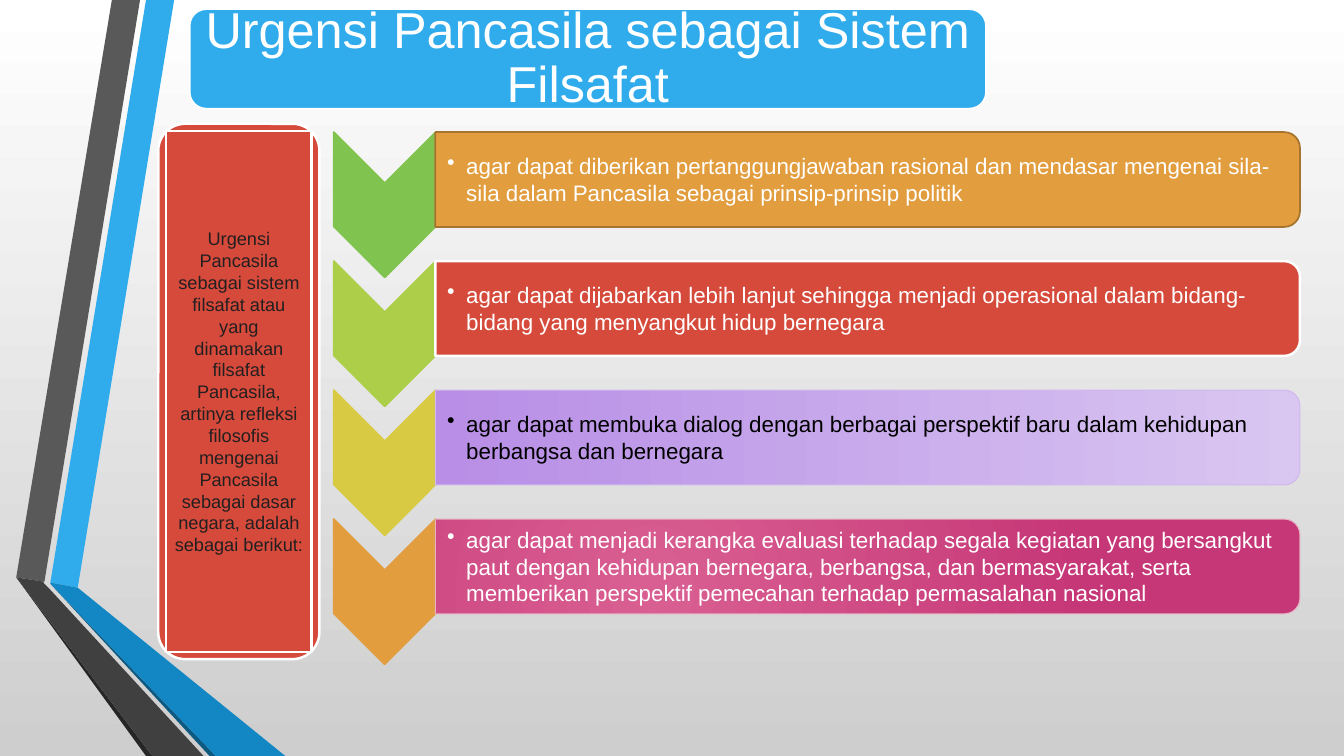
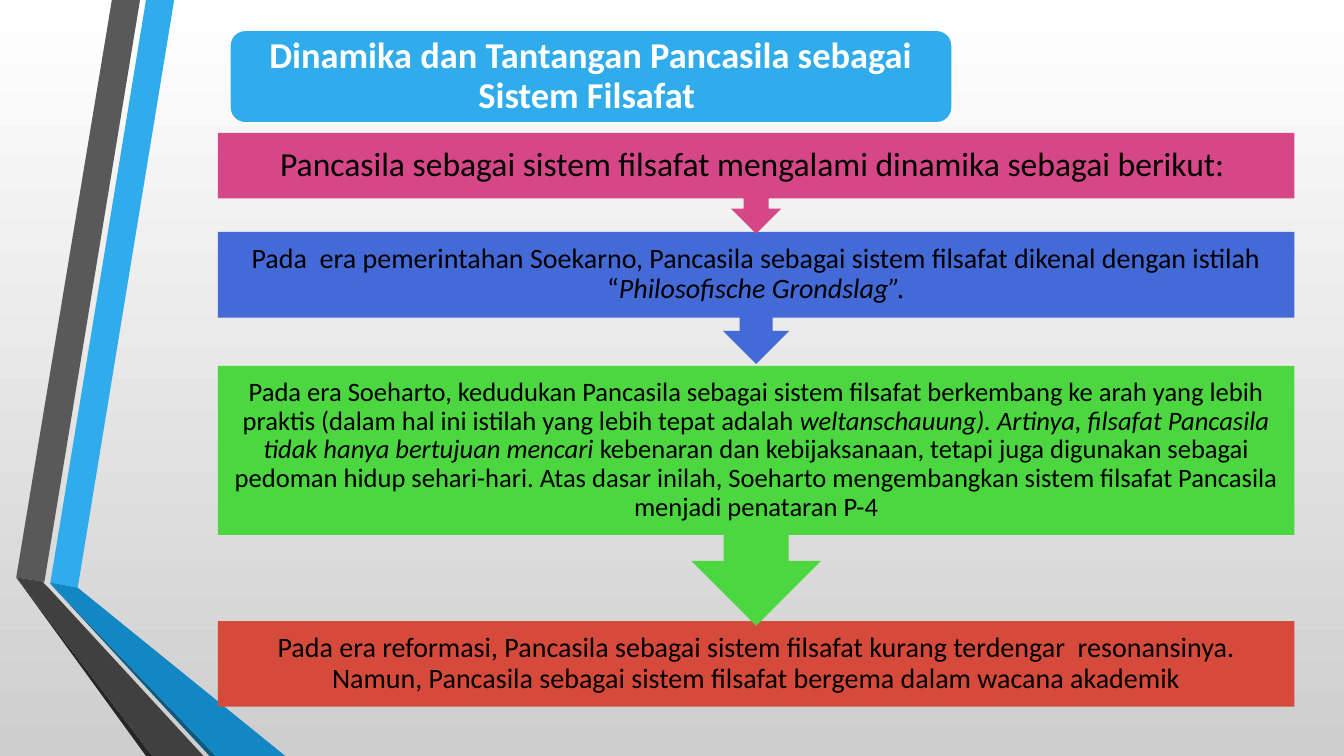
"""Build two slides on Pancasila as a system of philosophy."""
import dataclasses
import typing

import lxml.etree
import pptx
import pptx.dml.color
import pptx.dml.fill
import pptx.enum.dml
import pptx.enum.shapes
import pptx.enum.text
import pptx.oxml.ns
import pptx.shapes.base
import pptx.slide
import pptx.util

Cm = pptx.util.Cm
Pt = pptx.util.Pt
Shapes = pptx.enum.shapes.MSO_SHAPE

WHITE, BLACK, INK = "FFFFFF", "000000", "231F20"
BLUE, RED, ORANGE = "30ACEC", "D64A3B", "E29D3E"
SLIDE_WIDTH, SLIDE_HEIGHT = 33.87, 19.05
CALLOUT_BODY = 0.65


@dataclasses.dataclass(frozen=True)
class Box:
    """Position and size in centimetres."""
    left: float
    top: float
    width: float
    height: float

    def lengths(self) -> tuple:
        """Return the four lengths for a shape call."""
        return Cm(self.left), Cm(self.top), Cm(self.width), Cm(self.height)

    def turned(self) -> "Box":
        """Return the frame that covers this box after a quarter turn."""
        shift = (self.width - self.height) / 2
        return Box(self.left + shift, self.top - shift, self.height, self.width)


@dataclasses.dataclass(frozen=True)
class Gradient:
    """Two-colour gradient, straight down or circular."""
    start: str
    end: str
    circular: bool = False


Fill = typing.Union[str, Gradient]


@dataclasses.dataclass(frozen=True)
class Line:
    """Outline colour and width in points."""
    color: str
    width: float


@dataclasses.dataclass(frozen=True)
class TextStyle:
    """Look of the text in one box."""
    font: str
    size: float
    color: str
    inset: float
    bold: bool = False
    spacing: float = 1.0
    bullet: bool = False


@dataclasses.dataclass(frozen=True)
class Ribbon:
    """Filled polygon of the side decoration, in centimetres."""
    color: str
    points: tuple


@dataclasses.dataclass(frozen=True)
class Reason:
    """One chevron with its bar of text."""
    chevron: str
    fill: Fill
    line: Line
    text: str
    color: str = WHITE


@dataclasses.dataclass(frozen=True)
class Era:
    """One step of the flow; texts alternate between upright and italic."""
    top: float
    height: float
    color: str
    size: float
    inset: float
    texts: tuple
    arrow: bool = True


RIBBONS = (
    Ribbon(BLUE, ((1.27, 14.68), (1.96, 14.81), (4.39, 0), (3.68, 0))),
    Ribbon("595959", ((3.53, 0), (2.82, 0), (0.41, 14.55), (1.12, 14.66))),
    Ribbon("262626", ((0.41, 14.55), (3.68, 19.05), (3.84, 19.05))),
    Ribbon("0C5A82", ((1.27, 14.71), (5.28, 19.05), (5.44, 19.05))),
    Ribbon("1287C3", ((1.27, 14.71), (5.44, 19.05), (7.19, 19.05), (1.96, 14.81), (1.27, 14.68))),
    Ribbon("404040", ((5.13, 19.05), (1.22, 14.81), (1.09, 14.68), (1.12, 14.66),
                      (0.41, 14.55), (3.84, 19.05))),
)

REASONS = (
    Reason("80C34F", ORANGE, Line("A7742E", 1.25),
           "agar dapat diberikan pertanggungjawaban rasional dan mendasar mengenai sila-sila "
           "dalam Pancasila sebagai prinsip-prinsip politik"),
    Reason("ADCE49", RED, Line(WHITE, 1.75),
           "agar dapat dijabarkan lebih lanjut sehingga menjadi operasional dalam "
           "bidang-bidang yang menyangkut hidup bernegara"),
    Reason("D8CB43", Gradient("D9C6F1", "B88EE6"), Line("D0B8EE", 0.75),
           "agar dapat membuka dialog dengan berbagai perspektif baru dalam kehidupan "
           "berbangsa dan bernegara", BLACK),
    Reason(ORANGE, Gradient("D95F92", "C63777", True), Line("E8B1C3", 0.75),
           "agar dapat menjadi kerangka evaluasi terhadap segala kegiatan yang bersangkut "
           "paut dengan kehidupan bernegara, berbangsa, dan bermasyarakat, serta memberikan "
           "perspektif pemecahan terhadap permasalahan nasional"),
)

PANEL_TEXT = ("Urgensi Pancasila sebagai sistem filsafat atau yang dinamakan filsafat Pancasila, "
              "artinya refleksi filosofis mengenai Pancasila sebagai dasar negara, adalah "
              "sebagai berikut:")

ERAS = (
    Era(3.35, 2.54, "D64787", 24, 0.48,
        ("Pancasila sebagai sistem filsafat mengalami dinamika sebagai berikut: ",)),
    Era(5.84, 3.33, "436AD6", 20, 0.41,
        ("Pada  era pemerintahan Soekarno, Pancasila sebagai sistem filsafat dikenal dengan "
         "istilah “", "Philosofische Grondslag”.")),
    Era(9.22, 6.55, "4CD63F", 19, 0.38,
        ("Pada era Soeharto, kedudukan Pancasila sebagai sistem filsafat berkembang ke arah "
         "yang lebih praktis (dalam hal ini istilah yang lebih tepat adalah ",
         "weltanschauung). Artinya, filsafat Pancasila tidak hanya bertujuan mencari ",
         "kebenaran dan kebijaksanaan, tetapi juga digunakan sebagai pedoman hidup sehari-hari. "
         "Atas dasar inilah, Soeharto mengembangkan sistem filsafat Pancasila menjadi "
         "penataran P-4")),
    Era(15.65, 2.16, RED, 20, 0.41,
        ("Pada era reformasi, Pancasila sebagai sistem filsafat kurang terdengar  resonansinya. "
         "Namun, Pancasila sebagai sistem filsafat bergema dalam wacana akademik",), False),
)


def rgb(value: str) -> pptx.dml.color.RGBColor:
    """Turn a hex string into a colour."""
    return pptx.dml.color.RGBColor.from_string(value)


def set_format(target: typing.Any, values: dict) -> None:
    """Set each named attribute on the target."""
    for name, value in values.items():
        setattr(target, name, value)


def paint(fill: pptx.dml.fill.FillFormat, look: Fill) -> None:
    """Apply a plain colour or a gradient."""
    if isinstance(look, str):
        fill.solid()
        fill.fore_color.rgb = rgb(look)
        return
    fill.gradient()
    fill.gradient_angle = 270
    for stop, color in zip(fill.gradient_stops, (look.start, look.end)):
        stop.color.rgb = rgb(color)


def make_circular(shape: pptx.shapes.base.BaseShape) -> None:
    """Swap the straight gradient of a shape for a circular one."""
    qn = pptx.oxml.ns.qn
    straight = next(shape.element.iter(qn("a:lin")))
    circle = lxml.etree.Element(qn("a:path"), {"path": "circle"})
    edges = {"l": "50000", "t": "100000", "r": "100000", "b": "50000"}
    lxml.etree.SubElement(circle, qn("a:fillToRect"), edges)
    straight.getparent().replace(straight, circle)


def dress(shape: pptx.shapes.base.BaseShape, look: Fill,
          line: typing.Optional[Line] = None) -> None:
    """Give a shape its fill and outline, without shadow."""
    shape.shadow.inherit = False
    paint(shape.fill, look)
    if isinstance(look, Gradient) and look.circular:
        make_circular(shape)
    if line:
        shape.line.color.rgb = rgb(line.color)
        shape.line.width = Pt(line.width)
    else:
        shape.line.fill.background()


def add_block(slide: pptx.slide.Slide, preset: Shapes, box: Box, look: Fill,
              line: typing.Optional[Line] = None,
              rotation: int = 0) -> pptx.shapes.base.BaseShape:
    """Add a preset shape that covers the box once rotated."""
    frame = box.turned() if rotation == 90 else box
    shape = slide.shapes.add_shape(preset, *frame.lengths())
    shape.rotation = rotation
    dress(shape, look, line)
    return shape


def write(shape: pptx.shapes.base.BaseShape, texts: tuple, style: TextStyle) -> None:
    """Write one paragraph, every second run in italics."""
    frame = shape.text_frame
    inset = Cm(style.inset)
    narrow = Cm(0.03) if style.bullet else inset
    set_format(frame, {
        "word_wrap": True,
        "auto_size": pptx.enum.text.MSO_AUTO_SIZE.NONE,
        "vertical_anchor": pptx.enum.text.MSO_ANCHOR.MIDDLE,
        "margin_left": inset, "margin_right": narrow,
        "margin_top": narrow, "margin_bottom": narrow,
    })
    paragraph = frame.paragraphs[0]
    alignment = pptx.enum.text.PP_ALIGN
    if style.bullet:
        properties = paragraph._p.get_or_add_pPr()
        properties.set("marL", str(Cm(0.48)))
        properties.set("indent", str(-Cm(0.48)))
        lxml.etree.SubElement(properties, pptx.oxml.ns.qn("a:buChar"), {"char": "•"})
    set_format(paragraph, {
        "alignment": alignment.LEFT if style.bullet else alignment.CENTER,
        "line_spacing": style.spacing,
    })
    for index, text in enumerate(texts):
        run = paragraph.add_run()
        run.text = text
        set_format(run.font, {"name": style.font, "size": Pt(style.size),
                              "bold": style.bold, "italic": index % 2 == 1})
        run.font.color.rgb = rgb(style.color)


def add_text(slide: pptx.slide.Slide, box: Box, texts: tuple, style: TextStyle) -> None:
    """Add a text box."""
    write(slide.shapes.add_textbox(*box.lengths()), texts, style)


def decorate_layout(layout: pptx.slide.SlideLayout, slide: pptx.slide.Slide) -> None:
    """Put the shared background and ribbons on the layout."""
    paint(layout.background.fill, Gradient(WHITE, "CECECE"))
    for ribbon in RIBBONS:
        start, *others = [(Cm(x), Cm(y)) for x, y in ribbon.points]
        builder = slide.shapes.build_freeform(*start, scale=1.0)
        builder.add_line_segments(others, close=True)
        shape = builder.convert_to_shape()
        dress(shape, ribbon.color)
        layout.shapes.element.append(shape.element)


def add_title(slide: pptx.slide.Slide, box: Box, text: str, style: TextStyle) -> None:
    """Place the title on its rounded band."""
    add_block(slide, Shapes.ROUNDED_RECTANGLE, box, BLUE, Line(WHITE, 1.25))
    title = slide.shapes.title
    set_format(title, dict(zip(("left", "top", "width", "height"), box.lengths())))
    write(title, (text,), style)
    slide.shapes.element.append(title.element)


def fill_urgency(slide: pptx.slide.Slide) -> None:
    """Draw the four reasons and the side panel."""
    add_title(slide, Box(4.78, 0.23, 20.07, 2.51), "Urgensi Pancasila sebagai Sistem Filsafat",
              TextStyle("Arial", 36, WHITE, 0.38, spacing=0.9))
    for index, reason in enumerate(REASONS):
        top = 3.33 + index * 3.25
        add_block(slide, Shapes.CHEVRON, Box(8.41, top, 2.57, 3.66), reason.chevron,
                  Line(reason.chevron, 1.25), 90)
        add_block(slide, Shapes.ROUND_2_SAME_RECTANGLE, Box(10.97, top, 21.79, 2.39),
                  reason.fill, reason.line, 90)
        add_text(slide, Box(10.97, top + 0.12, 21.67, 2.13), (reason.text,),
                 TextStyle("Arial", 16, reason.color, 0.3, bullet=True))
    border = Line(WHITE, 1.75)
    add_block(slide, Shapes.ROUNDED_RECTANGLE, Box(3.99, 3.12, 4.06, 13.49), RED, border)
    panel = add_block(slide, Shapes.RECTANGLE, Box(4.19, 3.3, 3.66, 13.13), RED, border)
    write(panel, (PANEL_TEXT,), TextStyle("Arial", 13, INK, 0.2))


def fill_dynamics(slide: pptx.slide.Slide) -> None:
    """Draw the flow of eras, the last one at the back."""
    add_title(slide, Box(5.79, 0.76, 18.21, 2.34),
              "Dinamika dan Tantangan Pancasila sebagai Sistem Filsafat ",
              TextStyle("Calibri", 26, WHITE, 0.28, bold=True, spacing=0.9))
    for era in reversed(ERAS):
        preset = Shapes.UP_ARROW_CALLOUT if era.arrow else Shapes.RECTANGLE
        box = Box(5.49, era.top, 27.13, era.height)
        add_block(slide, preset, box, era.color, rotation=180 if era.arrow else 0)
        body = era.height * (CALLOUT_BODY if era.arrow else 1)
        add_text(slide, dataclasses.replace(box, height=body), era.texts,
                 TextStyle("Calibri", era.size, BLACK, era.inset, spacing=0.9))


def main() -> None:
    """Build and save the presentation."""
    presentation = pptx.Presentation()
    set_format(presentation, {"slide_width": Cm(SLIDE_WIDTH), "slide_height": Cm(SLIDE_HEIGHT)})
    layout = presentation.slide_layouts.get_by_name("Title Only")
    urgency, dynamics = (presentation.slides.add_slide(layout) for _ in range(2))
    decorate_layout(layout, urgency)
    fill_urgency(urgency)
    fill_dynamics(dynamics)
    presentation.save("out.pptx")


if __name__ == "__main__":
    main()
